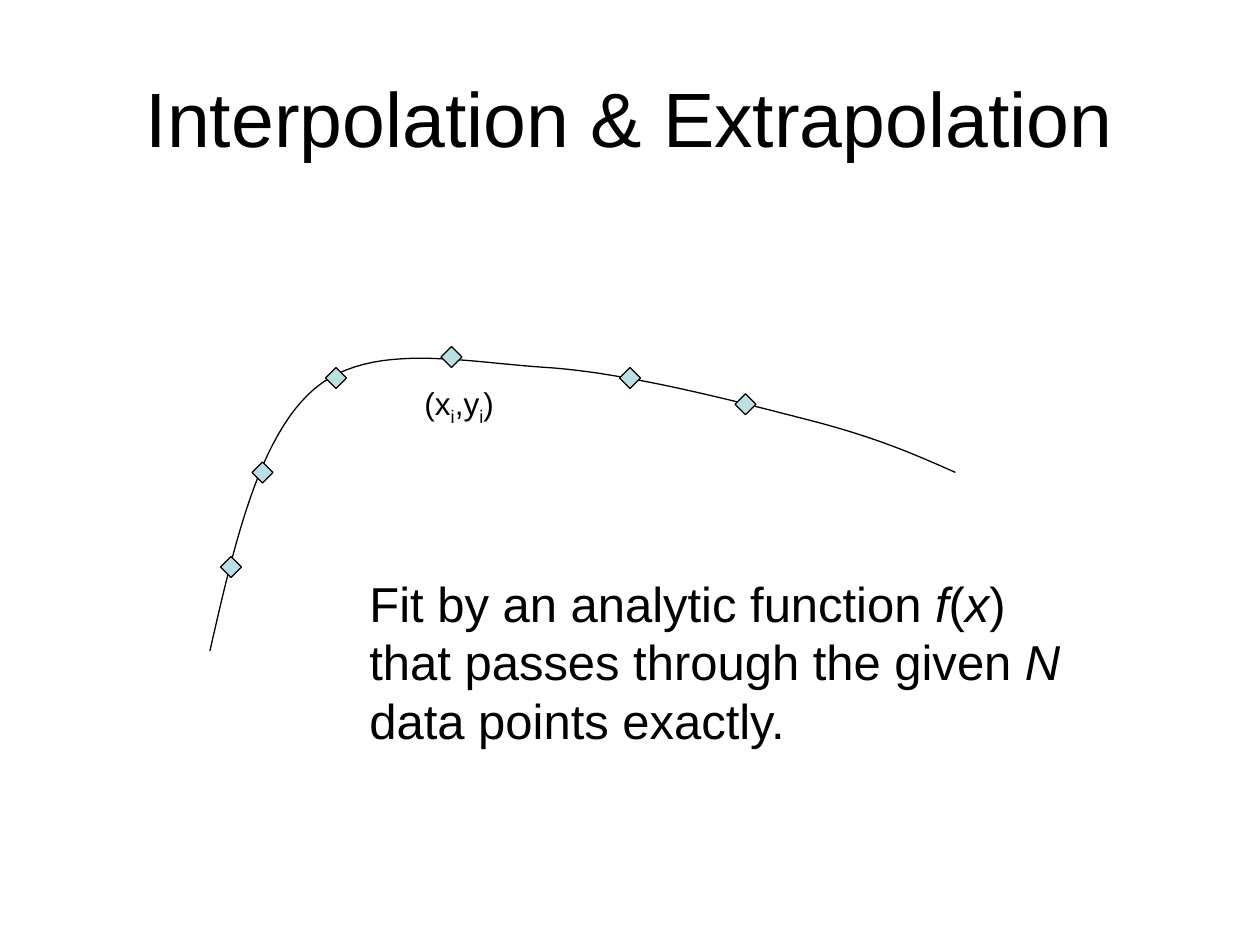
from dataclasses import dataclass
from typing import NamedTuple

import pptx
import pptx.dml.color
import pptx.enum.shapes
import pptx.enum.text
import pptx.util

Pt = pptx.util.Pt
RGBColor = pptx.dml.color.RGBColor


@dataclass(frozen=True)
class Theme:
    ink: RGBColor = RGBColor(0x00, 0x00, 0x00)
    marker: RGBColor = RGBColor(0xBB, 0xE0, 0xE3)
    font: str = "Arial"
    title_size: float = 44
    body_size: float = 28
    label_size: float = 18
    line_width: float = 0.75


class Point(NamedTuple):
    x: float
    y: float


class Box(NamedTuple):
    left: float
    top: float
    width: float
    height: float


class Span(NamedTuple):
    text: str
    italic: bool = False
    subscript: bool = False


class Bezier(NamedTuple):
    start_control: Point
    end_control: Point
    end: Point


THEME = Theme()
MARKER_SIZE = 12
CURVE_STEPS = 24

CURVE_START = Point(120, 372)
CURVE = [
    Bezier(Point(134, 310.5), Point(148, 249), Point(180, 222)),
    Bezier(Point(212, 195), Point(265, 207), Point(312, 210)),
    Bezier(Point(359, 213), Point(423, 230), Point(462, 240)),
    Bezier(Point(501, 250), Point(523.5, 260), Point(546, 270)),
]
# Centres of the data points
DATA_POINTS = [Point(132, 324), Point(150, 270), Point(192, 216),
               Point(258, 204), Point(360, 216), Point(426, 231)]

POINT_LABEL = [Span("(x"), Span("i", subscript=True), Span(",y"),
               Span("i", subscript=True), Span(")")]
EXPLANATION = [Span("Fit by an analytic function "), Span("f", italic=True),
               Span("("), Span("x", italic=True),
               Span(") that passes through the given "),
               Span("N", italic=True), Span(" data points exactly.")]


def place(shape, box: Box) -> None:
    shape.left, shape.top, shape.width, shape.height = map(Pt, box)


def write(frame, spans: list[Span], *, size: float,
          align=pptx.enum.text.PP_ALIGN.LEFT,
          anchor=pptx.enum.text.MSO_ANCHOR.TOP, wrap: bool = True) -> None:
    frame.word_wrap = wrap
    frame.vertical_anchor = anchor
    paragraph = frame.paragraphs[0]
    paragraph.alignment = align
    for span in spans:
        run = paragraph.add_run()
        run.text = span.text
        run.font.name = THEME.font
        run.font.size = Pt(size)
        run.font.italic = span.italic
        run.font.color.rgb = THEME.ink
        if span.subscript:
            run.font._element.set("baseline", "-25000")


def outline(shape) -> None:
    shape.shadow.inherit = False
    shape.line.color.rgb = THEME.ink
    shape.line.width = Pt(THEME.line_width)


def bezier_point(start: Point, piece: Bezier, t: float) -> Point:
    u = 1 - t
    weights = (u**3, 3 * u**2 * t, 3 * u * t**2, t**3)
    controls = (start, *piece)
    return Point(sum(w * p.x for w, p in zip(weights, controls)),
                 sum(w * p.y for w, p in zip(weights, controls)))


def draw_curve(slide, start: Point, pieces: list[Bezier]) -> None:
    builder = slide.shapes.build_freeform(Pt(start.x), Pt(start.y))
    for piece in pieces:
        samples = [bezier_point(start, piece, step / CURVE_STEPS)
                   for step in range(1, CURVE_STEPS + 1)]
        builder.add_line_segments([(Pt(p.x), Pt(p.y)) for p in samples],
                                  close=False)
        start = piece.end
    curve = builder.convert_to_shape()
    curve.fill.background()
    outline(curve)


def draw_marker(slide, centre: Point) -> None:
    half = MARKER_SIZE / 2
    marker = slide.shapes.add_shape(
        pptx.enum.shapes.MSO_SHAPE.DIAMOND, Pt(centre.x - half),
        Pt(centre.y - half), Pt(MARKER_SIZE), Pt(MARKER_SIZE))
    marker.fill.solid()
    marker.fill.fore_color.rgb = THEME.marker
    outline(marker)


def add_text(slide, box: Box, spans: list[Span], **style) -> None:
    write(slide.shapes.add_textbox(*map(Pt, box)).text_frame, spans, **style)


def main() -> None:
    presentation = pptx.Presentation()
    presentation.slide_width, presentation.slide_height = Pt(720), Pt(540)
    slide = presentation.slides.add_slide(presentation.slide_layouts[5])

    # Title
    title = slide.shapes.title
    place(title, Box(36, 21.6, 648, 90))
    write(title.text_frame, [Span("Interpolation & Extrapolation")],
          size=THEME.title_size, align=pptx.enum.text.PP_ALIGN.CENTER,
          anchor=pptx.enum.text.MSO_ANCHOR.MIDDLE)

    # Fitted curve through the data points
    draw_curve(slide, CURVE_START, CURVE)
    for centre in DATA_POINTS:
        draw_marker(slide, centre)

    # Point label and explanation
    add_text(slide, Box(235.5, 216, 64, 29), POINT_LABEL,
             size=THEME.label_size, wrap=False)
    add_text(slide, Box(204, 324, 414, 108), EXPLANATION,
             size=THEME.body_size)

    presentation.save("out.pptx")


if __name__ == "__main__":
    main()
